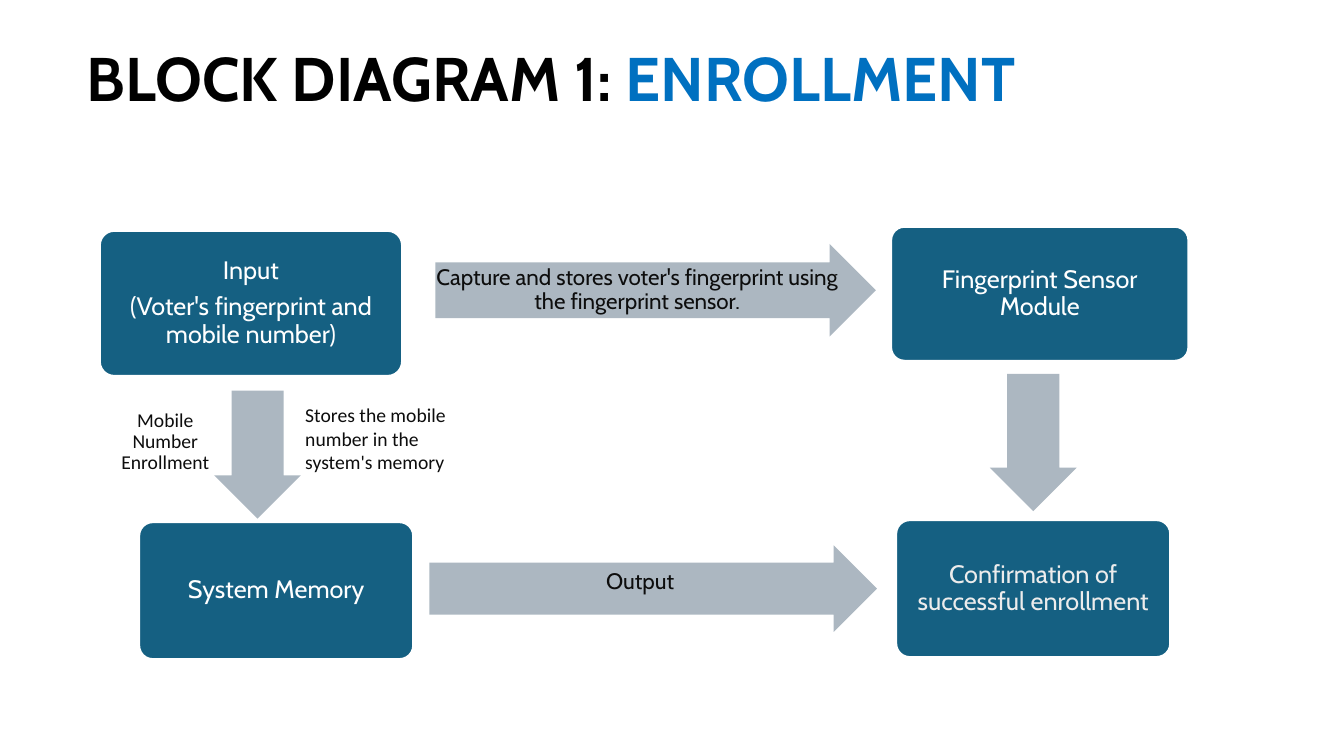
import pptx
import pptx.util
import pptx.dml.color
import pptx.enum.shapes
import pptx.enum.text

Inches = pptx.util.Inches
Pt = pptx.util.Pt
SHAPES = pptx.enum.shapes.MSO_SHAPE
ALIGN = pptx.enum.text.PP_ALIGN
ANCHOR = pptx.enum.text.MSO_ANCHOR
AUTOSIZE = pptx.enum.text.MSO_AUTO_SIZE

COLORS = {
    "block": "156082",
    "arrow": "ACB7C1",
    "white": "FFFFFF",
    "soft_white": "ECECEC",
    "ink": "0D0D0D",
    "black": "000000",
    "accent": "0070C0",
}
WIDTH, HEIGHT = 13.33, 7.5
COLUMNS, ROWS = 40, 30


def color(name):
    return pptx.dml.color.RGBColor.from_string(COLORS[name])


def grid(left, top, width, height):
    column, row = WIDTH / COLUMNS, HEIGHT / ROWS
    return [Inches(n * unit) for n, unit in
            zip((left, top, width, height), (column, row, column, row))]


def style(span, size, ink, font="Cabin", bold=False):
    span.font.size = Pt(size)
    span.font.name = font
    span.font.bold = bold
    span.font.color.rgb = color(ink)


def write(box, text, size, ink, font="Cabin", align=ALIGN.CENTER,
          anchor=ANCHOR.MIDDLE, insets=(0, 0, 0, 0), tight=True):
    frame = box.text_frame
    frame.text = text
    frame.word_wrap = True
    frame.vertical_anchor = anchor
    (frame.margin_left, frame.margin_top,
     frame.margin_right, frame.margin_bottom) = map(Inches, insets)
    for para in frame.paragraphs:
        para.alignment = align
        if tight:
            para.line_spacing = 0.9
            para.space_after = Pt(size * 0.35)
        for span in para.runs:
            style(span, size, ink, font)


def add_figure(page, kind, cells, fill):
    figure = page.shapes.add_shape(kind, *grid(*cells))
    figure.shadow.inherit = False
    figure.fill.solid()
    figure.fill.fore_color.rgb = color(fill)
    return figure


def add_block(page, cells, text, inset, ink="white"):
    block = add_figure(page, SHAPES.ROUNDED_RECTANGLE, cells, "block")
    block.adjustments[0] = 0.1
    block.line.color.rgb = color("white")
    block.line.width = Pt(1.5)
    write(block, text, 18, ink, insets=[inset] * 4)


def add_arrow(page, cells, rotation=0):
    arrow = add_figure(page, SHAPES.RIGHT_ARROW, cells, "arrow")
    arrow.adjustments[0] = 0.6
    arrow.adjustments[1] = 0.5
    arrow.line.fill.background()
    arrow.rotation = rotation
    return arrow


def add_label(page, cells, text, **layout):
    label = page.shapes.add_textbox(*grid(*cells))
    write(label, text, 14, "ink", font="Calibri", **layout)


def add_title(page, cells, parts):
    title = page.shapes.title
    title.left, title.top, title.width, title.height = grid(*cells)
    frame = title.text_frame
    frame.auto_size = AUTOSIZE.NONE
    frame.vertical_anchor = ANCHOR.MIDDLE
    para = frame.paragraphs[0]
    para.alignment = ALIGN.LEFT
    para.line_spacing = 0.9
    for text, ink in parts:
        span = para.add_run()
        span.text = text
        style(span, 44, ink, bold=True)


def main():
    deck = pptx.Presentation()
    deck.slide_width, deck.slide_height = Inches(WIDTH), Inches(HEIGHT)
    page = deck.slides.add_slide(deck.slide_layouts.get_by_name("Title Only"))

    add_title(page, (2.28, 0.32, 34.5, 5.8),
              [("BLOCK DIAGRAM 1: ", "black"), ("ENROLLMENT", "accent")])

    add_block(page, (2.97, 9.16, 9, 5.76),
              "Input\n(Voter's fingerprint and mobile number)", 0.07)
    add_block(page, (26.52, 9, 8.85, 5.32), "Fingerprint Sensor Module", 0.07)
    add_block(page, (4.14, 20.72, 8.16, 5.44), "System Memory", 0.11)
    add_block(page, (26.67, 20.64, 8.16, 5.44),
              "Confirmation of successful enrollment", 0.11, "soft_white")

    capture = add_arrow(page, (12.96, 9.68, 13.11, 3.68))
    write(capture, "Capture and stores voter's fingerprint using the fingerprint sensor.",
          16, "ink", insets=(0, 0, 0.09, 0))
    output = add_arrow(page, (12.78, 21.64, 13.32, 3.44))
    write(output, "Output", 16, "ink", anchor=ANCHOR.TOP,
          insets=(0.1, 0.05, 0.1, 0.05), tight=False)
    add_arrow(page, (5.76, 16.32, 3.81, 3.44), 90)
    add_arrow(page, (28.71, 15.84, 4.08, 3.44), 90)

    add_label(page, (3.45, 15.84, 2.94, 3.4), "Mobile Number Enrollment")
    add_label(page, (8.79, 15.8, 4.83, 3.24),
              "Stores the mobile number in the system's memory",
              align=ALIGN.LEFT, anchor=ANCHOR.TOP,
              insets=(0.1, 0.05, 0.1, 0.05), tight=False)

    deck.save("out.pptx")


if __name__ == "__main__":
    main()
